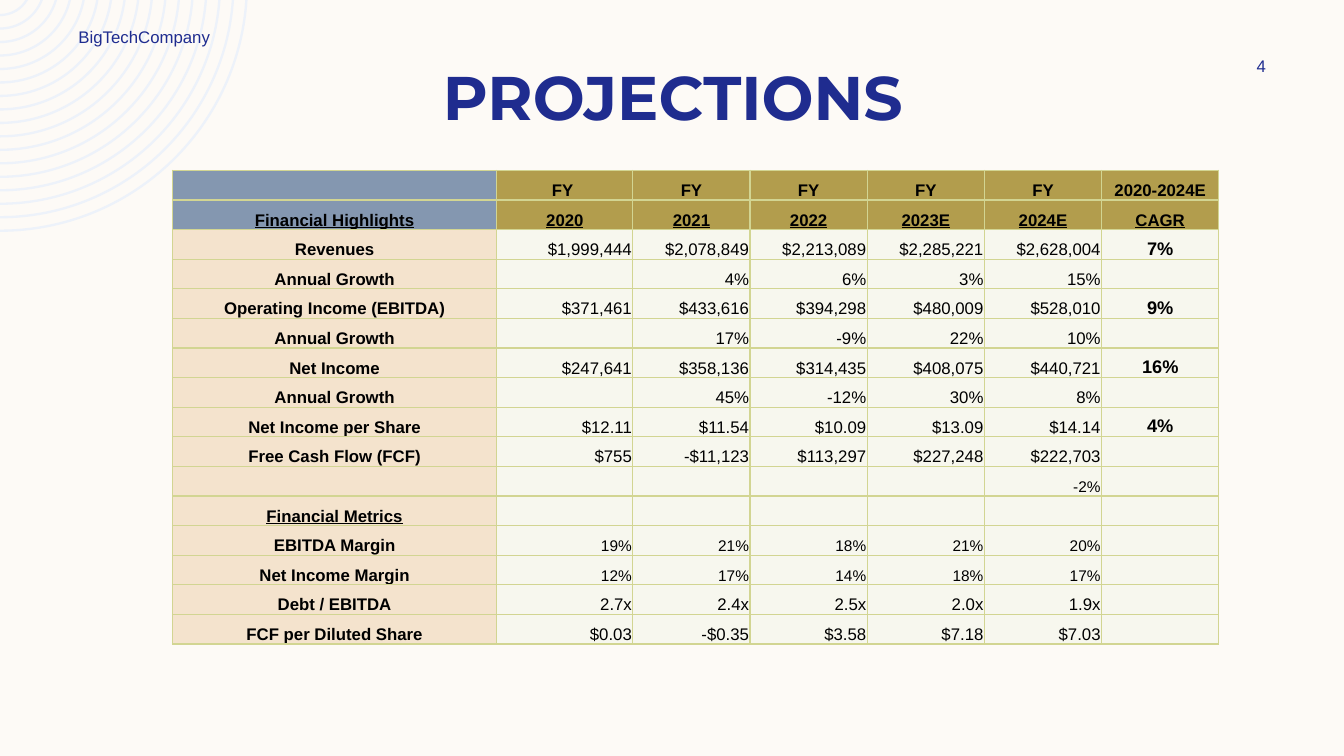
import math
from dataclasses import dataclass

from lxml import etree
from pptx import Presentation
from pptx import util as u
from pptx.dml.color import RGBColor
from pptx.enum import text
from pptx.oxml.ns import qn


@dataclass(frozen=True)
class Theme:
    paper: str = "FDFAF6"
    rings: str = "EDF2FA"
    navy: str = "1F2C8F"
    ink: str = "000000"
    corner: str = "8497B0"
    header: str = "B29D4D"
    label: str = "F4E3CD"
    body: str = "F7F7EE"
    border: str = "D2D592"
    heading_font: str = "Montserrat"
    body_font: str = "Arial"
    title: int = 44
    normal: int = 12
    small: int = 11
    cagr: int = 13


T = Theme()
LEFT, CENTER, RIGHT = (text.PP_ALIGN.LEFT, text.PP_ALIGN.CENTER,
                       text.PP_ALIGN.RIGHT)
TOP, MIDDLE, BOTTOM = (text.MSO_ANCHOR.TOP, text.MSO_ANCHOR.MIDDLE,
                       text.MSO_ANCHOR.BOTTOM)
WIDTH, HEIGHT = u.Inches(13.33), u.Inches(7.5)

HEADER_ROWS = 2
SMALL_ROWS = ("", "EBITDA Margin", "Net Income Margin")
UNDERLINED = ("Financial Highlights", "Financial Metrics")
ROWS = [
    ["", "FY ", "FY", "FY", "FY", "FY", "2020-2024E"],
    ["Financial Highlights", "2020", "2021", "2022", "2023E", "2024E", "CAGR"],
    ["Revenues", "$1,999,444", "$2,078,849", "$2,213,089", "$2,285,221",
     "$2,628,004", "7%"],
    ["Annual Growth", "", "4%", "6%", "3%", "15%", ""],
    ["Operating Income (EBITDA)", "$371,461", "$433,616", "$394,298",
     "$480,009", "$528,010", "9%"],
    ["Annual Growth", "", "17%", "-9%", "22%", "10%", ""],
    ["Net Income", "$247,641", "$358,136", "$314,435", "$408,075",
     "$440,721", "16%"],
    ["Annual Growth", "", "45%", "-12%", "30%", "8%", ""],
    ["Net Income per Share", "$12.11", "$11.54", "$10.09", "$13.09",
     "$14.14", "4%"],
    ["Free Cash Flow (FCF)", "$755", "-$11,123", "$113,297", "$227,248",
     "$222,703", ""],
    ["", "", "", "", "", "-2%", ""],
    ["Financial Metrics", "", "", "", "", "", ""],
    ["EBITDA Margin", "19%", "21%", "18%", "21%", "20%", ""],
    ["Net Income Margin", "12%", "17%", "14%", "18%", "17%", ""],
    ["Debt / EBITDA", "2.7x", "2.4x", "2.5x", "2.0x", "1.9x", ""],
    ["FCF per Diluted Share", "$0.03", "-$0.35", "$3.58", "$7.18", "$7.03", ""],
]


def percent_box(left, top, width, height):
    return (round(WIDTH * left / 100), round(HEIGHT * top / 100),
            round(WIDTH * width / 100), round(HEIGHT * height / 100))


def paint(fill, color):
    fill.solid()
    fill.fore_color.rgb = RGBColor.from_string(color)


def write(tf, words, size=T.normal, font=T.body_font, color=T.ink,
          bold=False, underline=False, align=LEFT):
    p = tf.paragraphs[0]
    p.alignment = align
    if not words:
        p._p.get_or_add_endParaRPr().set("sz", str(size * 100))
        return
    r = p.add_run()
    r.text = words
    r.font.size = u.Pt(size)
    r.font.name = font
    r.font.bold = bold
    r.font.underline = underline
    r.font.color.rgb = RGBColor.from_string(color)


def add_text(s, box, words, anchor=MIDDLE, **fmt):
    tf = s.shapes.add_textbox(*box).text_frame
    tf.word_wrap = True
    tf.vertical_anchor = anchor
    write(tf, words, color=T.navy, **fmt)


def arc(center_y, radius):
    start = math.asin(-center_y / radius)
    reach = 4 / 3 * math.tan((math.pi / 2 - start) / 4)
    cos, sin = math.cos(start), math.sin(start)
    points = [(cos, sin), (cos - reach * sin, sin + reach * cos),
              (reach, 1), (0, 1)]
    return [(round(radius * x), round(center_y + radius * y))
            for x, y in points]


def bend(line, curve):
    line.tag = qn("a:cubicBezTo")
    line.clear()
    for x, y in curve[1:]:
        etree.SubElement(line, qn("a:pt"), x=str(x), y=str(y))


def replace_line(line, curve):
    cubic = etree.Element(qn("a:cubicBezTo"))
    for x, y in curve[1:]:
        etree.SubElement(cubic, qn("a:pt"), x=str(x), y=str(y))
    line.getparent().replace(line, cubic)


def add_rings(s, box, count=17):
    left, top, _, height = box
    center_y = -0.07 * height
    outermost, innermost = 1.07 * height, 0.14 * height
    gap = (outermost - innermost) / (count - 1)
    builder, curves = None, []
    for i in range(count):
        radius = outermost - i * gap
        outer = arc(center_y, radius)
        inner = arc(center_y, radius - 0.01 * height)[::-1]
        if builder is None:
            builder = s.shapes.build_freeform(*outer[0], scale=1.0)
        else:
            builder.move_to(*outer[0])
        builder.add_line_segments([outer[-1], inner[0], inner[-1]], close=True)
        curves += [outer, None, inner]
    sp = builder.convert_to_shape(left, top)
    for line, curve in zip(list(sp._element.iter(qn("a:lnTo"))), curves):
        if curve:
            replace_line(line, curve)
    sp.shadow.inherit = False
    paint(sp.fill, T.rings)
    sp.line.fill.background()


def add_borders(cell):
    tcPr = cell._tc.get_or_add_tcPr()
    for side in ("lnL", "lnR", "lnT", "lnB"):
        ln = etree.SubElement(tcPr, qn(f"a:{side}"), w=str(u.Pt(1)))
        fill = etree.SubElement(ln, qn("a:solidFill"))
        etree.SubElement(fill, qn("a:srgbClr"), val=T.border)


def cell_format(row, col, label):
    if row < HEADER_ROWS or col == 0:
        underline = row == 1 or col == 0 and label in UNDERLINED
        return dict(bold=True, underline=underline, align=CENTER)
    if col == len(ROWS[0]) - 1:
        return dict(bold=True, size=T.cagr, align=CENTER)
    return dict(size=T.small if label in SMALL_ROWS else T.normal, align=RIGHT)


def cell_color(row, col):
    if row < HEADER_ROWS:
        return T.header if col else T.corner
    return T.body if col else T.label


def add_projections(s, box):
    width, height = box[2:]
    n_rows, n_cols = len(ROWS), len(ROWS[0])
    table = s.shapes.add_table(n_rows, n_cols, *box).table
    table.first_row = table.horz_banding = False
    shares = [0.31, 0.13]
    shares += [(1 - sum(shares)) / (n_cols - 2)] * (n_cols - 2)
    for column, share in zip(table.columns, shares):
        column.width = round(width * share)
    for i, values in enumerate(ROWS):
        table.rows[i].height = height // n_rows
        for j, value in enumerate(values):
            cell = table.cell(i, j)
            cell.margin_left = cell.margin_right = u.Inches(0.01)
            cell.margin_top, cell.margin_bottom = u.Inches(0.01), 0
            cell.vertical_anchor = BOTTOM
            add_borders(cell)
            paint(cell.fill, cell_color(i, j))
            write(cell.text_frame, value, **cell_format(i, j, values[0]))


def projections_slide(prs):
    s = prs.slides.add_slide(prs.slide_layouts[6])
    paint(s.background.fill, T.paper)
    add_rings(s, percent_box(0, 0, 18.4, 30.67))
    add_text(s, percent_box(6.3, 7.2, 87.55, 11.2), "PROJECTIONS", anchor=TOP,
             size=T.title, font=T.heading_font, bold=True, align=CENTER)
    add_text(s, percent_box(89.8, 6.67, 8.1, 4), "4", align=CENTER)
    add_text(s, percent_box(5.1, 2.93, 26.26, 4), "BigTechCompany")
    add_projections(s, percent_box(12.83, 22.53, 77.87, 62.67))


def main():
    prs = Presentation()
    prs.slide_width, prs.slide_height = WIDTH, HEIGHT
    projections_slide(prs)
    prs.save("out.pptx")


if __name__ == "__main__":
    main()
